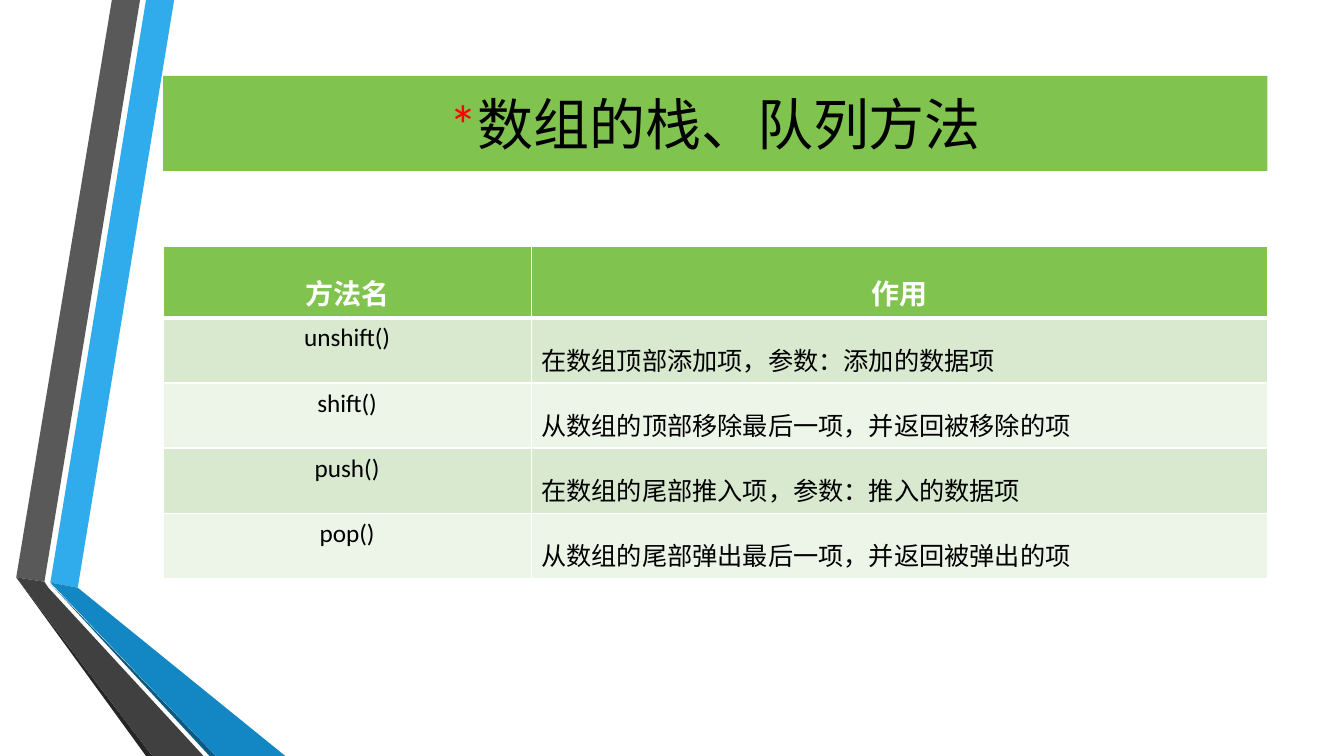
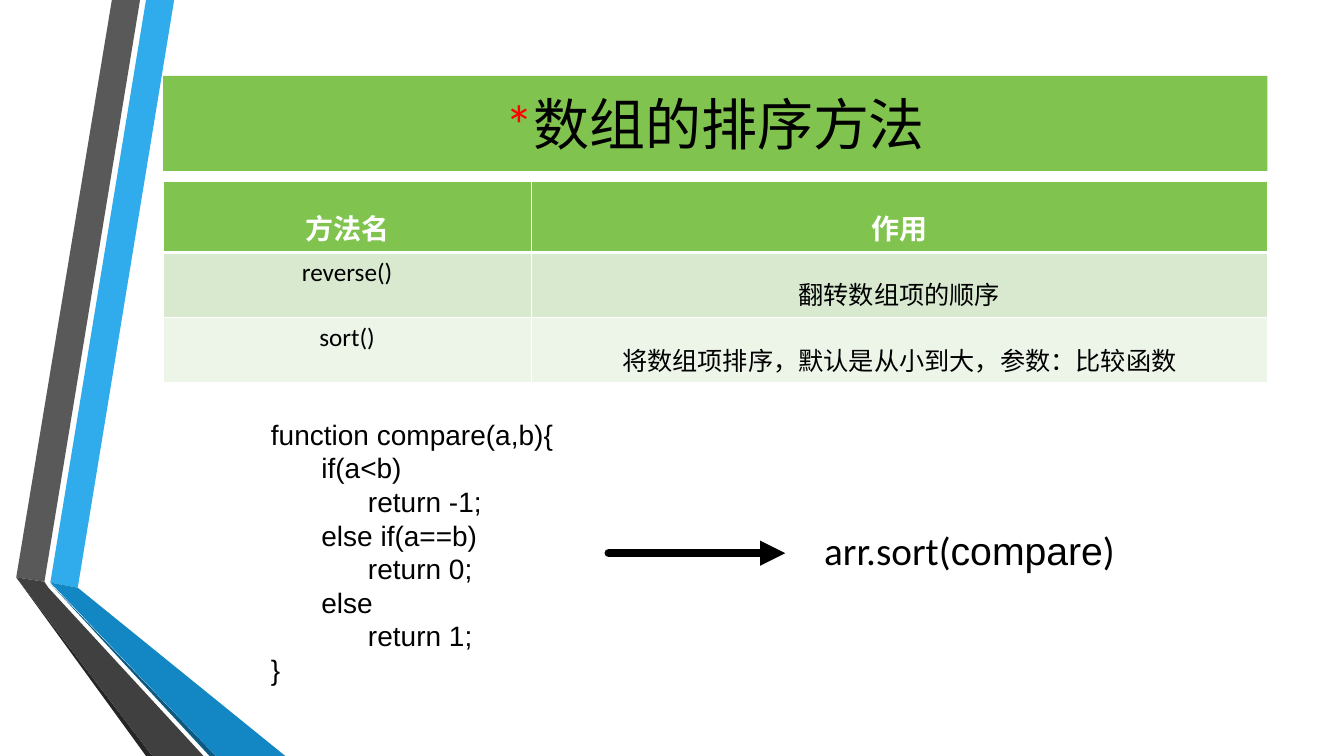
from lxml import etree
from pptx import Presentation, util as u
from pptx.dml.color import RGBColor
from pptx.enum import shapes, text
from pptx.oxml import ns

COLORS = {
    "green": "80C34F", "band_dark": "D8E9D0", "band_light": "EDF5E9",
    "white": "FFFFFF", "black": "000000", "red": "FF0000",
}
LATIN, CODE, CHINESE = "Calibri", "Arial", "Noto Sans CJK SC"
LEFT, WIDTH = 4.11, 27.83
HEADER_HEIGHT, ROW_HEIGHT = 1.76, 1.64
CENTER, START = text.PP_ALIGN.CENTER, text.PP_ALIGN.LEFT

# Side ribbon: fill and corner points in centimetres
RIBBON = [
    ("30ACEC", [(1.27, 14.68), (1.96, 14.81), (4.39, 0), (3.68, 0)]),
    ("595959", [(3.53, 0), (2.82, 0), (0.41, 14.55), (1.12, 14.66)]),
    ("262626", [(0.41, 14.55), (3.68, 19.05), (3.84, 19.05)]),
    ("0C5A82", [(1.27, 14.71), (5.28, 19.05), (5.44, 19.05)]),
    ("1287C3", [(1.27, 14.68), (5.44, 19.05), (7.19, 19.05), (1.96, 14.81)]),
    ("404040", [(5.13, 19.05), (1.22, 14.81), (1.12, 14.66), (0.41, 14.55),
                (3.84, 19.05)]),
]

HEADINGS = ("方法名", "作用")
STACK_METHODS = [
    ("unshift()", "在数组顶部添加项，参数：添加的数据项"),
    ("shift()", "从数组的顶部移除最后一项，并返回被移除的项"),
    ("push()", "在数组的尾部推入项，参数：推入的数据项"),
    ("pop()", "从数组的尾部弹出最后一项，并返回被弹出的项"),
]
SORT_METHODS = [
    ("reverse()", "翻转数组项的顺序"),
    ("sort()", "将数组项排序，默认是从小到大，参数：比较函数"),
]
COMPARE_CODE = [
    "function compare(a,b){",
    "\tif(a<b)",
    "\t      return -1;",
    "\telse if(a==b)",
    "\t      return 0;",
    "\telse",
    "\t      return 1;",
    "}",
]
SORT_CALL = [("arr.sort(", LATIN), ("compare", CODE), (")", LATIN)]


def rgb(name):
    return RGBColor.from_string(COLORS.get(name, name))


def add_span(para, words, size, font, color="black", bold=False):
    span = para.add_run()
    span.text = words
    span.font.size = u.Pt(size)
    span.font.name = font
    span.font.bold = bold
    span.font.color.rgb = rgb(color)
    if font == CHINESE:
        east_asian = etree.SubElement(span.font._element, ns.qn("a:ea"))
        east_asian.set("typeface", font)


def paint(shape, color):
    shape.fill.solid()
    shape.fill.fore_color.rgb = rgb(color)
    shape.line.fill.background()
    shape.shadow.inherit = False


def add_ribbon(page):
    for color, corners in RIBBON:
        points = [(u.Cm(x), u.Cm(y)) for x, y in corners]
        builder = page.shapes.build_freeform(*points[0])
        builder.add_line_segments(points[1:], close=True)
        paint(builder.convert_to_shape(), color)


def add_title(page, title):
    bar = page.shapes.add_shape(shapes.MSO_SHAPE.RECTANGLE, u.Cm(LEFT), u.Cm(1.91),
                                u.Cm(WIDTH), u.Cm(2.4))
    paint(bar, "green")
    bar.text_frame.vertical_anchor = text.MSO_ANCHOR.MIDDLE
    para = bar.text_frame.paragraphs[0]
    para.alignment = CENTER
    add_span(para, "*", 40, LATIN, "red")
    add_span(para, title, 40, CHINESE)


def add_borders(cell, bottom):
    """Draw white cell borders; call before filling, as the schema puts lines first."""
    props = cell._tc.get_or_add_tcPr()
    for side, points in (("L", 1), ("R", 1), ("T", 1), ("B", bottom)):
        line = etree.SubElement(props, ns.qn("a:ln" + side), w=str(u.Pt(points)))
        fill = etree.SubElement(line, ns.qn("a:solidFill"))
        etree.SubElement(fill, ns.qn("a:srgbClr"), val=COLORS["white"])


def add_method_table(page, top, methods, alignment):
    rows = [HEADINGS] + methods
    height = HEADER_HEIGHT + ROW_HEIGHT * len(methods)
    table = page.shapes.add_table(len(rows), 2, u.Cm(LEFT), u.Cm(top),
                                  u.Cm(WIDTH), u.Cm(height)).table
    for column, share in zip(table.columns, (1, 2)):
        column.width = u.Cm(WIDTH * share / 3)
    for r, row in enumerate(rows):
        header = r == 0
        table.rows[r].height = u.Cm(HEADER_HEIGHT if header else ROW_HEIGHT)
        band = "green" if header else ("band_light", "band_dark")[r % 2]
        for c, words in enumerate(row):
            cell = table.cell(r, c)
            add_borders(cell, 3 if header else 1)
            cell.fill.solid()
            cell.fill.fore_color.rgb = rgb(band)
            para = cell.text_frame.paragraphs[0]
            para.alignment = alignment if c and not header else CENTER
            chinese = header or c == 1
            if chinese:
                para.line_spacing = 1.5
            add_span(para, words, 20 if header else 18,
                     CHINESE if chinese else LATIN,
                     "white" if header else "black", header)


def add_text(page, left, top, width, height, size, lines):
    """Add an unwrapped box; each line is a list of (words, font)."""
    box = page.shapes.add_textbox(*map(u.Cm, (left, top, width, height)))
    frame = box.text_frame
    frame.word_wrap = False
    frame.auto_size = text.MSO_AUTO_SIZE.SHAPE_TO_FIT_TEXT
    for i, spans in enumerate(lines):
        para = frame.add_paragraph() if i else frame.paragraphs[0]
        for words, font in spans:
            add_span(para, words, size, font)


def add_arrow(page, start, end, y):
    arrow = page.shapes.add_connector(shapes.MSO_CONNECTOR.STRAIGHT,
                                      u.Cm(start), u.Cm(y), u.Cm(end), u.Cm(y))
    arrow.line.width = u.Pt(6)
    arrow.line.color.rgb = rgb("black")
    line = arrow.line._get_or_add_ln()
    line.set("cap", "rnd")
    etree.SubElement(line, ns.qn("a:tailEnd"), type="triangle")
    etree.SubElement(arrow._element.spPr, ns.qn("a:effectLst"))


def add_page(deck, title):
    page = deck.slides.add_slide(deck.slide_layouts[6])
    add_ribbon(page)
    add_title(page, title)
    return page


def main():
    deck = Presentation()
    deck.slide_width, deck.slide_height = u.Cm(33.87), u.Cm(19.05)

    page = add_page(deck, "数组的栈、队列方法")
    add_method_table(page, 6.22, STACK_METHODS, START)

    page = add_page(deck, "数组的排序方法")
    add_method_table(page, 4.57, SORT_METHODS, CENTER)
    add_text(page, 6.58, 10.39, 7.67, 7.09, 20,
             [[(line, CODE)] for line in COMPARE_CODE])
    add_arrow(page, 15.34, 19.79, 13.94)
    add_text(page, 20.52, 13.13, 7.98, 1.45, 28, [SORT_CALL])

    deck.save("out.pptx")


if __name__ == "__main__":
    main()
